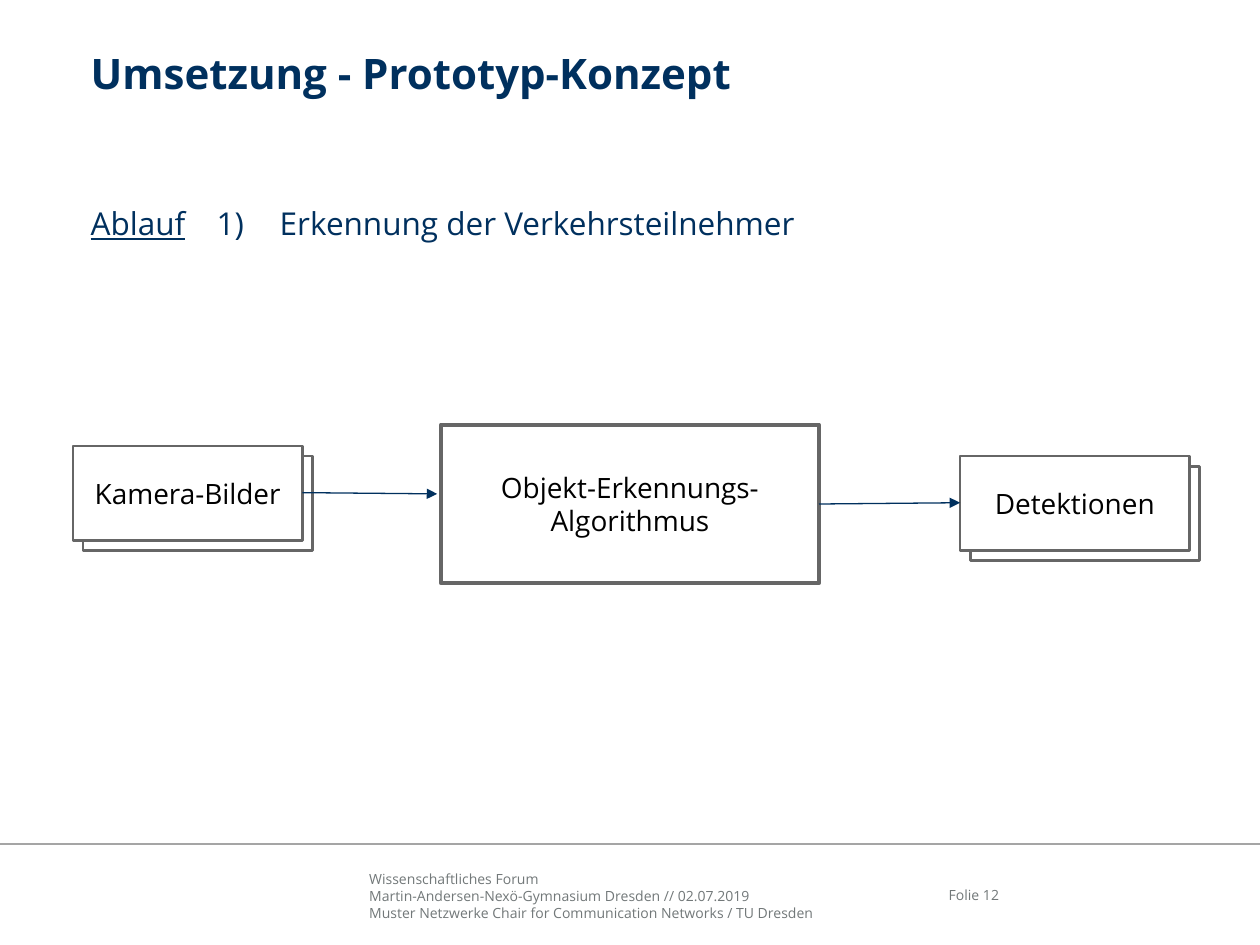
from pptx import Presentation
from pptx.dml.color import RGBColor
from pptx.enum.shapes import MSO_CONNECTOR, MSO_SHAPE
from pptx.enum.text import MSO_ANCHOR, MSO_AUTO_SIZE, PP_ALIGN
from pptx.oxml.ns import qn
from pptx.util import Inches, Pt
from lxml.etree import SubElement

# Content
TITLE = "Umsetzung - Prototyp-Konzept"
STEP = [("Ablauf", True), ("\t1)\tErkennung der Verkehrsteilnehmer", False)]
STEP_TABS = (0.88, 1.29)
FOOTER = [
    "Wissenschaftliches Forum",
    "Martin-Andersen-Nexö-Gymnasium Dresden // 02.07.2019",
    "Muster Netzwerke Chair for Communication Networks / TU Dresden",
]
PAGE = "Folie 12"
STACKS = [("Kamera-Bilder", 0.58, 3.54), ("Detektionen", 7.62, 3.62)]
ALGORITHM = ["Objekt-Erkennungs-", "Algorithmus"]
ARROWS = [((2.4, 3.91), (3.47, 3.92)), ((6.5, 4), (7.62, 3.99))]

STACK_SIZE = (1.82, 0.75)
STACK_OFFSET = 0.08

THEME = {
    "font": "Open Sans",
    "navy": "00305E", "black": "000000", "white": "FFFFFF",
    "frame": "666666", "muted": "727879", "rule": "A5A5A5",
    "title": 24, "body": 18, "label": 16, "footer": 8,
}


def color(name):
    return RGBColor.from_string(THEME[name])


def write(shape, lines, *, size, ink, bold=False, align=PP_ALIGN.LEFT,
          anchor=MSO_ANCHOR.TOP, inset=0, tabs=()):
    """Each line is a string or a list of (text, underlined) runs."""
    frame = shape.text_frame
    frame.word_wrap = True
    frame.auto_size = MSO_AUTO_SIZE.NONE
    frame.vertical_anchor = anchor
    frame.margin_left = frame.margin_right = Inches(inset)
    frame.margin_top = frame.margin_bottom = Inches(inset)
    for index, line in enumerate(lines):
        paragraph = frame.add_paragraph() if index else frame.paragraphs[0]
        properties = paragraph._p.get_or_add_pPr()
        properties.set("marL", "0")
        properties.set("indent", "0")
        SubElement(properties, qn("a:buNone"))
        if tabs:
            tab_list = SubElement(properties, qn("a:tabLst"))
            for position in tabs:
                SubElement(tab_list, qn("a:tab"), pos=str(Inches(position)), algn="l")
        paragraph.alignment = align
        paragraph.space_before = Pt(0)
        for text, underlined in [(line, False)] if isinstance(line, str) else line:
            run = paragraph.add_run()
            run.text = text
            run.font.name = THEME["font"]
            run.font.size = Pt(THEME[size])
            run.font.color.rgb = color(ink)
            run.font.bold = bold
            run.font.underline = underlined


def place(shape, left, top, width, height):
    shape.left, shape.top = Inches(left), Inches(top)
    shape.width, shape.height = Inches(width), Inches(height)


def add_box(slide, left, top, width, height, lines=(), filled=False, weight=1.5):
    box = slide.shapes.add_shape(
        MSO_SHAPE.RECTANGLE, *map(Inches, (left, top, width, height)))
    box.shadow.inherit = False
    if filled:
        box.fill.solid()
        box.fill.fore_color.rgb = color("white")
    else:
        box.fill.background()
    box.line.color.rgb = color("frame")
    box.line.width = Pt(weight)
    if lines:
        write(box, lines, size="label", ink="black", align=PP_ALIGN.CENTER,
              anchor=MSO_ANCHOR.MIDDLE, inset=0.1)


def add_line(slide, start, end, ink, weight, arrow=False):
    line = slide.shapes.add_connector(
        MSO_CONNECTOR.STRAIGHT, *map(Inches, (*start, *end)))
    line.line.color.rgb = color(ink)
    line.line.width = Pt(weight)
    if arrow:
        SubElement(line.line._get_or_add_ln(), qn("a:tailEnd"), type="triangle")
    SubElement(line._element.spPr, qn("a:effectLst"))


def add_text(slide, left, top, width, height, lines, **style):
    box = slide.shapes.add_textbox(*map(Inches, (left, top, width, height)))
    write(box, lines, size="footer", ink="muted", **style)


def main():
    presentation = Presentation()
    presentation.slide_width, presentation.slide_height = Inches(10), Inches(7.5)
    slide = presentation.slides.add_slide(presentation.slide_layouts[1])

    # Title and process step
    title, body = slide.placeholders
    place(title, 0.72, 0.38, 8.68, 0.75)
    write(title, [TITLE], size="title", ink="navy", bold=True)
    place(body, 0.72, 1.62, 8.68, 0.9)
    write(body, [STEP], size="body", ink="navy", tabs=STEP_TABS)

    # Footer
    add_line(slide, (0, 6.7), (10, 6.7), "rule", 1)
    add_text(slide, 2.93, 6.91, 4.26, 0.4, FOOTER, anchor=MSO_ANCHOR.BOTTOM)
    add_text(slide, 7.35, 6.9, 0.58, 0.4, [PAGE], align=PP_ALIGN.RIGHT,
             anchor=MSO_ANCHOR.MIDDLE)

    # Input and output stacks around the algorithm
    for label, left, top in STACKS:
        add_box(slide, left + STACK_OFFSET, top + STACK_OFFSET, *STACK_SIZE)
        add_box(slide, left, top, *STACK_SIZE, [label], filled=True)
    add_box(slide, 3.5, 3.37, 3, 1.26, ALGORITHM, weight=2.25)
    for start, end in ARROWS:
        add_line(slide, start, end, "navy", 0.75, arrow=True)

    presentation.save("out.pptx")


if __name__ == "__main__":
    main()
